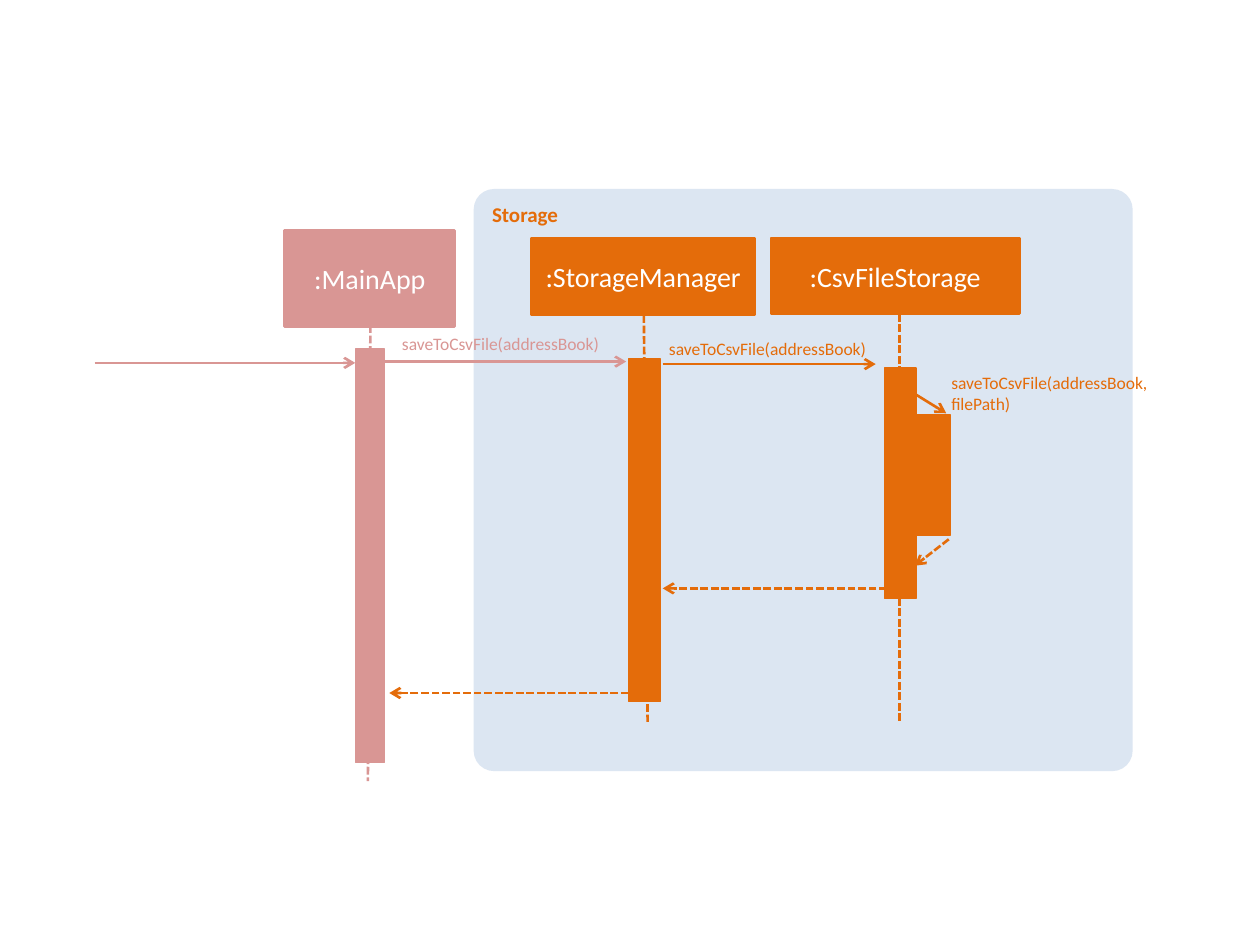
from pptx import Presentation
from pptx.dml.color import RGBColor
from pptx.enum.dml import MSO_LINE
from pptx.enum.shapes import MSO_CONNECTOR, MSO_SHAPE
from pptx.enum.text import MSO_ANCHOR as Anchor, PP_ALIGN as Align
from pptx.oxml.ns import qn
from pptx.util import Inches, Pt
from lxml.etree import SubElement

COLORS = {"app": "D99694", "storage": "E46C0A", "frame": "DCE6F2", "white": "FFFFFF"}
FONT = "Calibri"

FRAME = ("Storage", (3.76, 1.5, 5.23, 4.62))
PARTICIPANTS = [
    (":MainApp", "app", (2.26, 1.83, 1.35, 0.76)),
    (":StorageManager", "storage", (4.22, 1.89, 1.77, 0.61)),
    (":CsvFileStorage", "storage", (6.12, 1.89, 1.97, 0.6)),
]
LIFELINES = [
    ("app", (2.94, 2.58), (2.92, 6.2)),
    ("storage", (5.11, 2.5), (5.14, 5.73)),
    ("storage", (7.14, 2.49), (7.14, 5.73)),
]
ACTIVATIONS = [
    ("app", (2.82, 2.77, 0.23, 3.28)),
    ("storage", (4.99, 2.85, 0.25, 2.72)),
    ("storage", (7.02, 2.92, 0.25, 1.83)),
    ("storage", (7.21, 3.29, 0.33, 0.96)),
]
CALLS = [
    ("app", (0.75, 2.88), (2.82, 2.88)),
    ("app", (3.03, 2.87), (4.97, 2.87)),
    ("storage", (5.26, 2.89), (6.95, 2.89)),
    ("storage", (7.25, 3.12), (7.51, 3.28)),
]
RETURNS = [
    ("storage", (7.53, 4.28), (7.26, 4.49)),
    ("storage", (7.04, 4.67), (5.26, 4.67)),
    ("storage", (4.99, 5.5), (3.09, 5.5)),
]
CALL_LABELS = [
    ("saveToCsvFile(addressBook)", "app", (3.19, 2.64, 1.59, 0.17)),
    ("saveToCsvFile(addressBook)", "storage", (5.31, 2.68, 1.67, 0.17)),
    ("saveToCsvFile(addressBook, filePath)", "storage", (7.55, 2.95, 1.64, 0.34)),
]


def rgb(name):
    return RGBColor.from_string(COLORS[name])


def write(shape, text, size, color, align=Align.LEFT, anchor=Anchor.TOP, bold=False):
    frame = shape.text_frame
    frame.word_wrap = True
    frame.vertical_anchor = anchor
    paragraph = frame.paragraphs[0]
    paragraph.alignment = align
    run = paragraph.add_run()
    run.text = text
    run.font.name = FONT
    run.font.size = Pt(size)
    run.font.bold = bold
    run.font.color.rgb = rgb(color)


def add_box(shapes, kind, place, color, outline=None):
    box = shapes.add_shape(kind, *map(Inches, place))
    box.shadow.inherit = False
    box.fill.solid()
    box.fill.fore_color.rgb = rgb(color)
    if outline:
        box.line.color.rgb = rgb(color)
        box.line.width = Pt(outline)
    else:
        box.line.fill.background()
    return box


def add_line(shapes, color, start, end, dashed=False, arrow=False):
    link = shapes.add_connector(MSO_CONNECTOR.STRAIGHT, *map(Inches, start + end))
    link.line.color.rgb = rgb(color)
    link.line.width = Pt(1.5)
    if dashed:
        link.line.dash_style = MSO_LINE.SQUARE_DOT
    if arrow:
        SubElement(link.line._get_or_add_ln(), qn("a:tailEnd"), type="arrow")
    SubElement(link._element.spPr, qn("a:effectLst"))


def add_label(shapes, text, color, place):
    label = shapes.add_textbox(*map(Inches, place))
    frame = label.text_frame
    frame.margin_left = frame.margin_right = frame.margin_top = frame.margin_bottom = 0
    write(label, text, 10, color)


def main():
    deck = Presentation()
    deck.slide_width, deck.slide_height = Inches(10), Inches(7.5)
    shapes = deck.slides.add_slide(deck.slide_layouts[6]).shapes

    title, place = FRAME
    storage = add_box(shapes, MSO_SHAPE.ROUNDED_RECTANGLE, place, "frame")
    storage.adjustments[0] = 0.035
    write(storage, title, 12, "storage", bold=True)

    for lifeline in LIFELINES:
        add_line(shapes, *lifeline, dashed=True)
    for name, color, place in PARTICIPANTS:
        head = add_box(shapes, MSO_SHAPE.RECTANGLE, place, color, 1.5)
        write(head, name, 16, "white", Align.CENTER, Anchor.MIDDLE)
    for color, place in ACTIVATIONS:
        add_box(shapes, MSO_SHAPE.RECTANGLE, place, color, 0.75)
    for call in CALLS:
        add_line(shapes, *call, arrow=True)
    for reply in RETURNS:
        add_line(shapes, *reply, dashed=True, arrow=True)
    for label in CALL_LABELS:
        add_label(shapes, *label)

    deck.save("out.pptx")


if __name__ == "__main__":
    main()
